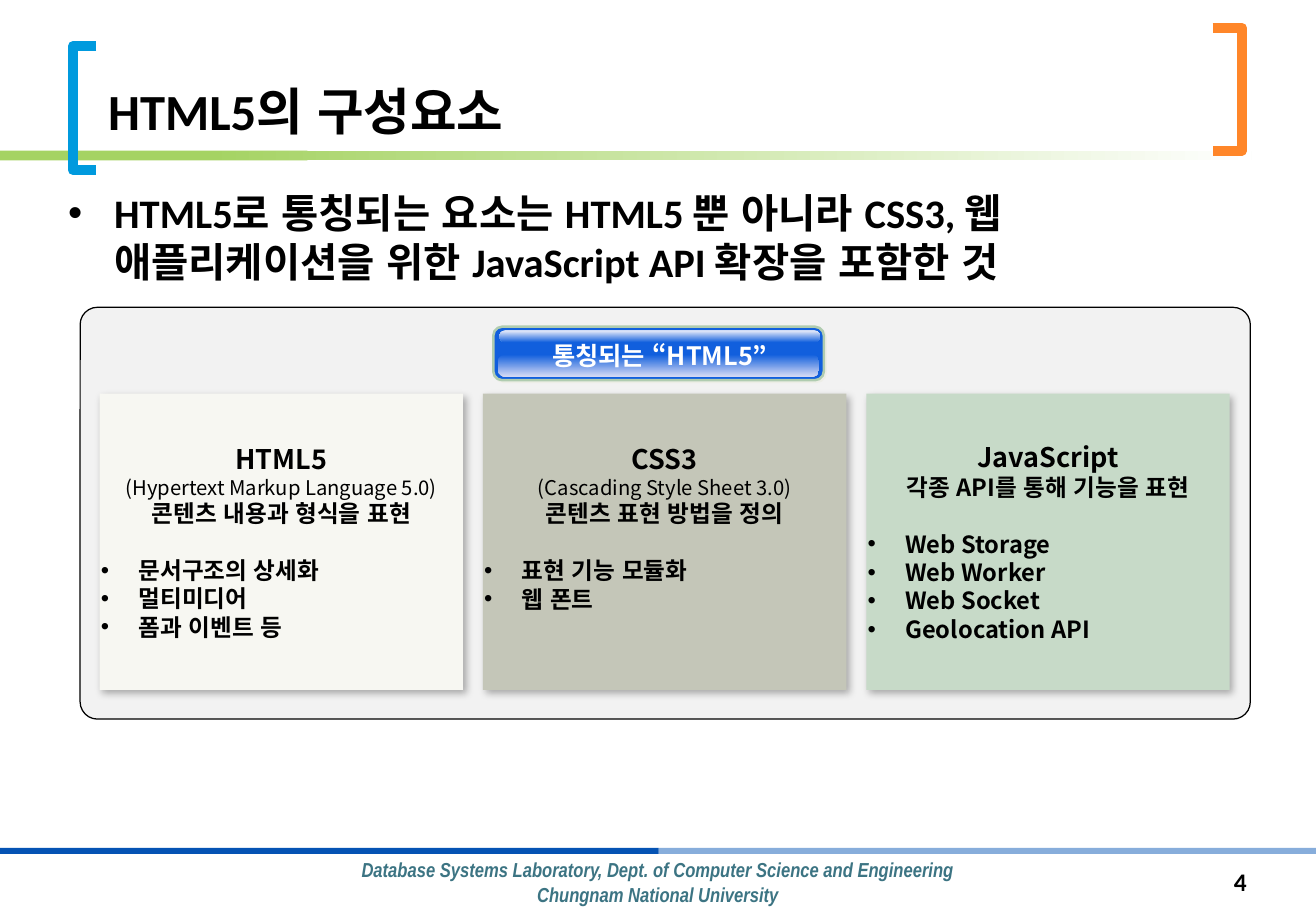
from dataclasses import dataclass

from lxml import etree
from pptx import Presentation, util as u
from pptx.dml.color import RGBColor
from pptx.enum import lang, shapes, text
from pptx.oxml import parse_xml
from pptx.oxml.ns import nsdecls, qn

RECT = shapes.MSO_SHAPE.RECTANGLE
ROUND = shapes.MSO_SHAPE.ROUNDED_RECTANGLE
LEFT, CENTER, RIGHT = text.PP_ALIGN.LEFT, text.PP_ALIGN.CENTER, text.PP_ALIGN.RIGHT
TOP, MIDDLE, BOTTOM = text.MSO_ANCHOR.TOP, text.MSO_ANCHOR.MIDDLE, text.MSO_ANCHOR.BOTTOM


@dataclass(frozen=True)
class Theme:
    latin: str = "Calibri"
    korean: str = "Noto Sans CJK KR"
    footer_font: str = "Arial Narrow"
    line_height: float = 1.2
    # Type sizes
    title: int = 30
    lead: int = 24
    heading: int = 16
    label: int = 15
    item: int = 14
    small: int = 12
    # Colours
    ink: str = "000000"
    white: str = "FFFFFF"
    green: str = "A5D363"
    sky: str = "009ADE"
    orange: str = "FF8629"
    blue: str = "0553B4"
    pale_blue: str = "87ADDB"
    teal: str = "3C7483"
    panel: str = "F2F2F2"
    badge: str = "115FDD"
    badge_edge: str = "B0CCB0"
    badge_shadow: str = "EAEBDE"
    gloss_low: str = "D4D9F4"
    gloss_high: str = "EDEFFA"
    cards: tuple = ("F7F7F2", "C4C6B8", "C7DAC8")


THEME = Theme()


def shadow_xml(color, alpha, blur, distance, angle):
    return parse_xml(
        f'<a:effectLst {nsdecls("a")}><a:outerShdw blurRad="{u.Pt(blur)}" '
        f'dist="{u.Pt(distance)}" dir="{angle * 60000}" algn="tl" rotWithShape="0">'
        f'<a:srgbClr val="{color}"><a:alpha val="{alpha * 1000}"/></a:srgbClr>'
        '</a:outerShdw></a:effectLst>')


def write(frame, content, size, color=THEME.ink, font=THEME.korean, bold=True,
          italic=False, align=LEFT, bullet=0, before=0, shadow=False):
    """Add one paragraph; bullet is the hanging indent in inches."""
    first = frame.paragraphs[0]
    paragraph = frame.add_paragraph() if first.runs else first
    paragraph.alignment = align
    paragraph.line_spacing = u.Pt(size * THEME.line_height)
    paragraph.space_before = u.Pt(before)
    if bullet:
        properties = paragraph._p.get_or_add_pPr()
        properties.set("marL", str(u.Inches(bullet)))
        properties.set("indent", str(-u.Inches(bullet)))
        etree.SubElement(properties, qn("a:buFont"), typeface="Arial")
        etree.SubElement(properties, qn("a:buChar"), char="•")
    run = paragraph.add_run()
    run.text = content
    run.font.size, run.font.bold, run.font.italic = u.Pt(size), bold, italic
    run.font.color.rgb = RGBColor.from_string(color)
    run.font.name = font
    run.font.language_id = lang.MSO_LANGUAGE_ID.KOREAN
    latin = run._r.rPr.find(qn("a:latin"))
    latin.addnext(etree.Element(qn("a:ea"), typeface=THEME.korean))
    if shadow:
        latin.addprevious(shadow_xml(THEME.ink, 60, 1, 1.4, 45))


class SlideBuilder:
    def __init__(self, deck, theme):
        self.theme = theme
        self.slide = deck.slides.add_slide(deck.slide_layouts[6])

    def frame(self, shape, anchor, inset=0, bottom=0, wrap=True):
        frame = shape.text_frame
        frame.word_wrap = wrap
        frame.vertical_anchor = anchor
        frame.margin_left = frame.margin_right = frame.margin_top = u.Inches(inset)
        frame.margin_bottom = u.Inches(bottom or inset)
        return frame

    def text_box(self, box, anchor=MIDDLE, wrap=True):
        shape = self.slide.shapes.add_textbox(*map(u.Inches, box))
        return self.frame(shape, anchor, wrap=wrap)

    def block(self, box, fill, kind=RECT, corner=None, line=None, width=1,
              angle=0, shadow=None):
        """A preset shape; a pair of colours in fill makes a gradient."""
        shape = self.slide.shapes.add_shape(kind, *map(u.Inches, box))
        shape.shadow.inherit = False
        if corner is not None:
            shape.adjustments[0] = corner
        if isinstance(fill, tuple):
            shape.fill.gradient()
            shape.fill.gradient_angle = angle
            for stop, color, position in zip(shape.fill.gradient_stops, fill, (0, 1)):
                stop.color.rgb = RGBColor.from_string(color)
                stop.position = position
        else:
            shape.fill.solid()
            shape.fill.fore_color.rgb = RGBColor.from_string(fill)
        if line:
            shape.line.color.rgb = RGBColor.from_string(line)
            shape.line.width = u.Pt(width)
        else:
            shape.line.fill.background()
        if shadow:
            effects = shape._element.spPr.find(qn("a:effectLst"))
            effects.getparent().replace(effects, shadow_xml(*shadow))
        return shape

    def bracket(self, tip, spine, top, bottom, color):
        points = [(u.Inches(x), u.Inches(y)) for x, y in
                  ((tip, top), (spine, top), (spine, bottom), (tip, bottom))]
        outline = self.slide.shapes.build_freeform(*points[0])
        outline.add_line_segments(points[1:], close=False)
        shape = outline.convert_to_shape()
        shape.shadow.inherit = False
        shape.fill.background()
        shape.line.color.rgb = RGBColor.from_string(color)
        shape.line.width = u.Pt(6)

    def card(self, box, fill, heading, subtitle, summary, items, bottom):
        t = self.theme
        shape = self.block(box, fill, shadow=(t.ink, 30, 4.5, 2.6, 53))
        frame = self.frame(shape, MIDDLE, inset=0.01, bottom=bottom)
        write(frame, heading, t.heading, align=CENTER)
        if subtitle:
            write(frame, subtitle, t.small, bold=False, align=CENTER)
        write(frame, summary, t.item, align=CENTER)
        for index, item in enumerate(items):
            gap = 0 if index else t.item * t.line_height
            write(frame, item, t.item, bullet=0.31, before=gap)


CARDS = (
    ("HTML5", "(Hypertext Markup Language 5.0)", "콘텐츠 내용과 형식을 표현",
     ("문서구조의 상세화", "멀티미디어", "폼과 이벤트 등"), 0.01),
    ("CSS3", "(Cascading Style Sheet 3.0)", "콘텐츠 표현 방법을 정의",
     ("표현 기능 모듈화", "웹 폰트"), 0.24),
    ("JavaScript", None, "각종 API를 통해 기능을 표현",
     ("Web Storage", "Web Worker", "Web Socket", "Geolocation API"), 0.01),
)


def main():
    t = THEME
    deck = Presentation()
    deck.slide_width, deck.slide_height = u.Inches(10.83), u.Inches(7.5)
    page = SlideBuilder(deck, t)

    # Footer
    laboratory = page.text_box((0, 7.01, 10.83, 0.5))
    for line in ("Database Systems Laboratory, Dept. of Computer Science and Engineering",
                 "Chungnam National University"):
        write(laboratory, line, t.small, t.teal, t.footer_font, italic=True, align=CENTER)
    for left, color in ((5.42, t.pale_blue), (0, t.blue)):
        page.block((left, 6.98, 5.42, 0.05), color)
    write(page.text_box((8.88, 7.06, 1.38, 0.4)), "4", t.label, font=t.latin, align=RIGHT)

    # Title with its rule and brackets
    page.block((0, 1.24, 2.53, 0.08), t.green)
    page.block((1.72, 1.24, 8.58, 0.08), (t.green, t.white))
    page.bracket(0.79, 0.6, 0.38, 1.4, t.sky)
    page.bracket(9.98, 10.22, 0.23, 1.24, t.orange)
    write(page.text_box((0.89, 0.04, 9, 1.12), BOTTOM), "HTML5의 구성요소",
          t.title, font=t.latin)

    # Lead statement
    write(page.text_box((0.56, 1.55, 9.72, 0.9), TOP),
          "HTML5로 통칭되는 요소는 HTML5 뿐 아니라 CSS3, 웹 애플리케이션을 위한 "
          "JavaScript API 확장을 포함한 것", t.lead, font=t.latin, bullet=0.38)

    # Panel and glossy badge
    page.block((0.66, 2.53, 9.63, 3.39), t.panel, ROUND, 0.042, t.ink, 0.75)
    page.block((4.06, 2.69, 2.72, 0.44), t.badge, ROUND, 0.166, t.badge_edge, 1.5,
               shadow=(t.badge_shadow, 50, 0, 1.4, 45))
    page.block((4.1, 2.92, 2.64, 0.18), (t.badge, t.gloss_low), ROUND, 0.3, angle=270)
    page.block((4.11, 2.72, 2.64, 0.1), (t.gloss_high, t.badge), ROUND, 0.5, angle=270)
    write(page.text_box((4.41, 2.75, 2.04, 0.35), wrap=False), "통칭되는 “HTML5”",
          t.label, t.white, align=CENTER, shadow=True)

    # Three component cards
    for index, (fill, content) in enumerate(zip(t.cards, CARDS)):
        page.card((0.82 + index * 3.155, 3.24, 2.99, 2.44), fill, *content)

    deck.save("out.pptx")


if __name__ == "__main__":
    main()
